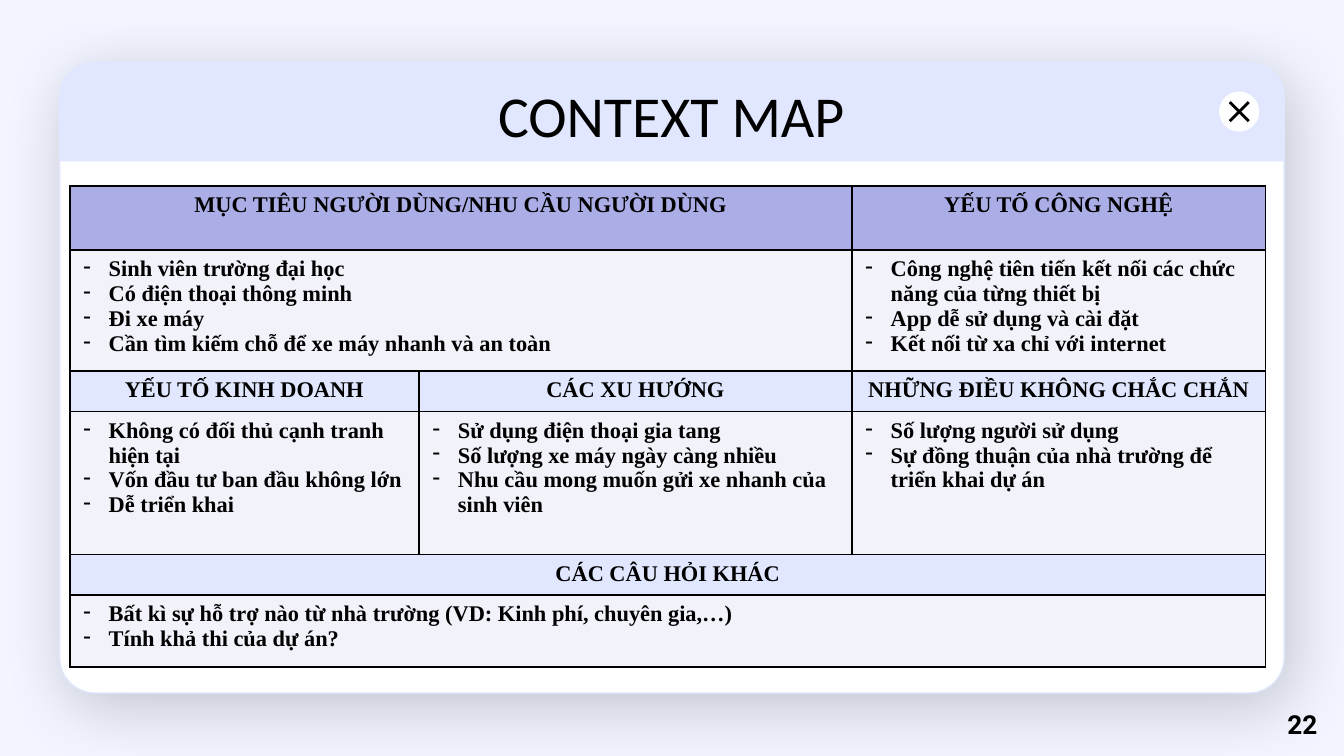
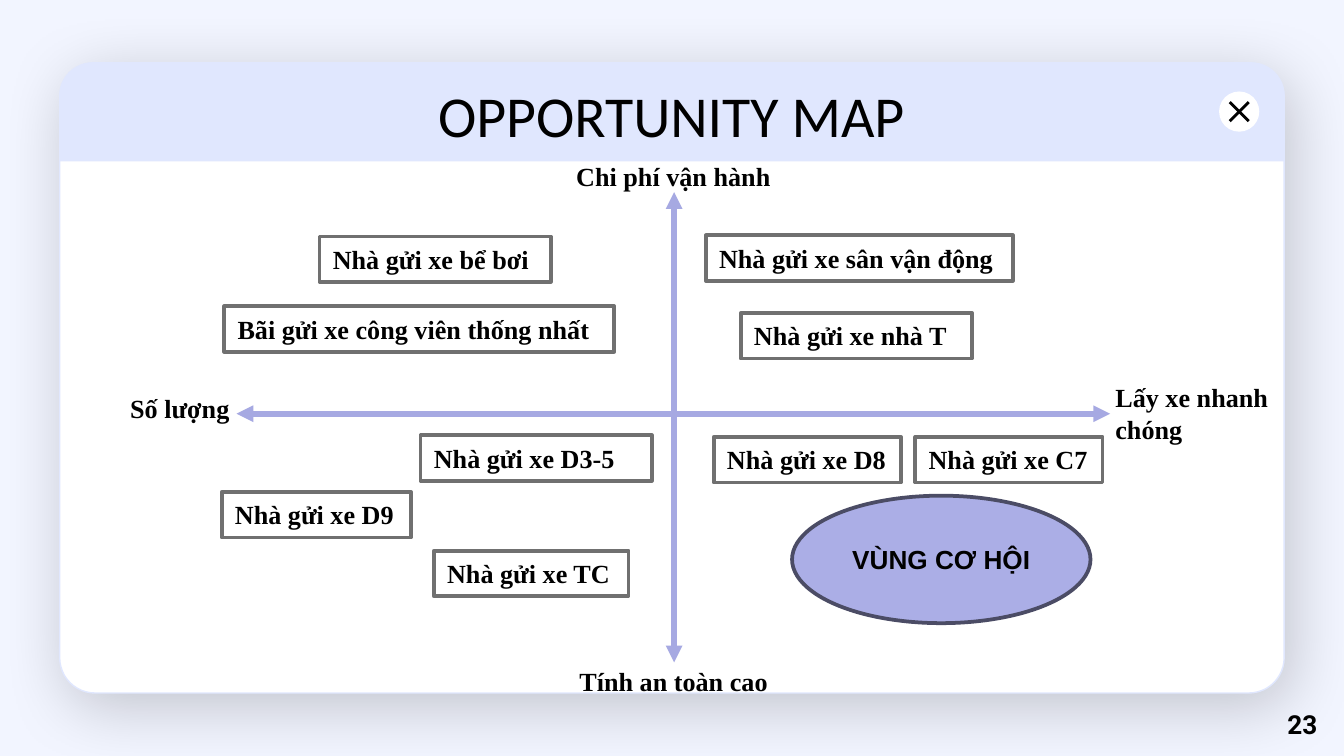
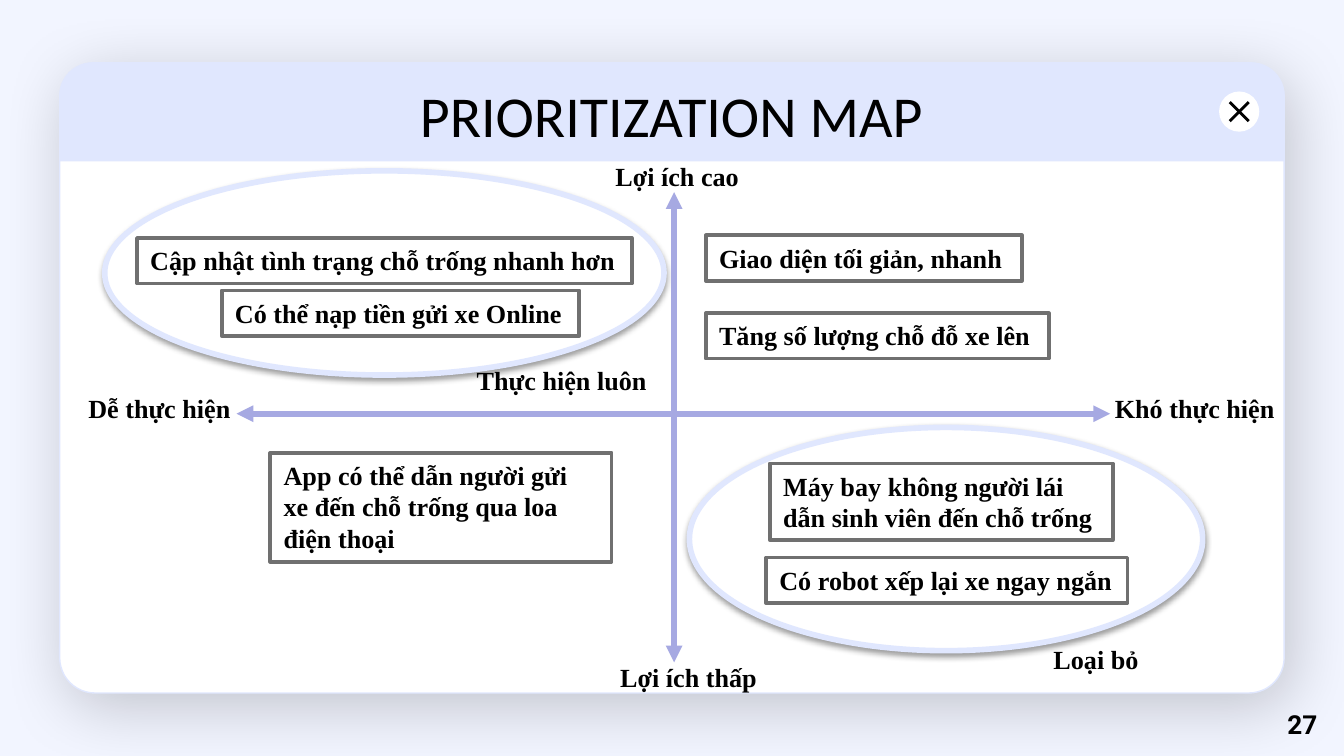
from dataclasses import dataclass

from lxml import etree
from pptx import Presentation
from pptx import util as u
from pptx.dml.color import RGBColor
from pptx.enum import shapes, text
from pptx.oxml.ns import qn

SH = shapes.MSO_SHAPE
LEFT, CENTER = text.PP_ALIGN.LEFT, text.PP_ALIGN.CENTER


@dataclass(frozen=True)
class Theme:
    """Colours, fonts and type sizes of the deck."""
    page: str = "F2F5FF"
    band: str = "E0E7FE"
    accent: str = "ABAEE6"
    axis: str = "A6A9E2"
    cell: str = "F1F2FA"
    white: str = "FFFFFF"
    ink: str = "000000"
    note_line: str = "707070"
    zone_line: str = "4B4C65"
    title_font: str = "Calibri"
    body_font: str = "Times New Roman"
    number_font: str = "Roboto"
    zone_font: str = "Arial"
    title_size: float = 31
    body_size: float = 14
    table_size: float = 12


T = Theme()


def sub(parent, tag, **attrs):
    """Append a child element such as a:ln and return it."""
    el = etree.SubElement(parent, qn(tag))
    for key, value in attrs.items():
        el.set(key, str(value))
    return el


def write(tf, content, size=T.body_size, font=T.body_font, bold=True, align=LEFT, bullet=False):
    """Fill a text frame with one paragraph per line of content."""
    tf.word_wrap = True
    for i, line in enumerate(content.split("\n")):
        p = tf.paragraphs[0] if i == 0 else tf.add_paragraph()
        p.alignment = align
        if bullet:
            add_dash(p)
        r = p.add_run()
        r.text = line
        r.font.size, r.font.name, r.font.bold = u.Pt(size), font, bold
        r.font.color.rgb = RGBColor.from_string(T.ink)


def add_dash(p):
    """Give a paragraph a hanging dash bullet."""
    indent = u.Cm(0.48)
    pr = p._p.get_or_add_pPr()
    pr.set("marL", str(indent))
    pr.set("indent", str(-indent))
    sub(sub(pr, "a:buClr"), "a:srgbClr", val=T.ink)
    sub(pr, "a:buChar", char="-")


def add_shadow(sp, alpha, blur, dist, angle):
    """Put a soft outer shadow on a shape."""
    effects = sp.element.spPr.find(qn("a:effectLst"))
    shadow = sub(effects, "a:outerShdw", blurRad=u.Pt(blur), dist=u.Pt(dist),
                 dir=angle * 60000, algn="ctr", rotWithShape=0)
    sub(sub(shadow, "a:srgbClr", val=T.ink), "a:alpha", val=alpha * 1000)


def add_box(s, kind, at, fill=T.white, line=None, width=0.75, adj=()):
    """Add a filled preset shape placed in centimetres."""
    sp = s.shapes.add_shape(kind, *map(u.Cm, at))
    sp.shadow.inherit = False
    sp.fill.solid()
    sp.fill.fore_color.rgb = RGBColor.from_string(fill)
    if line:
        sp.line.color.rgb = RGBColor.from_string(line)
        sp.line.width = u.Pt(width)
    else:
        sp.line.fill.background()
    for i, value in enumerate(adj):
        sp.adjustments[i] = value
    return sp


def add_line(s, start, end, color=T.ink, width=1.5, arrows=False):
    """Add a straight line, with arrowheads at both ends on request."""
    cn = s.shapes.add_connector(shapes.MSO_CONNECTOR.STRAIGHT, *map(u.Cm, start + end))
    cn.line.color.rgb = RGBColor.from_string(color)
    cn.line.width = u.Pt(width)
    if arrows:
        ln = cn.element.spPr.find(qn("a:ln"))
        sub(ln, "a:headEnd", type="triangle")
        sub(ln, "a:tailEnd", type="triangle")
    sub(cn.element.spPr, "a:effectLst")


def add_label(s, content, x, y, w, h=0.86, **fmt):
    """Add a free text box that grows with its text."""
    tf = s.shapes.add_textbox(*map(u.Cm, (x, y, w, h))).text_frame
    write(tf, content, **fmt)
    tf.auto_size = text.MSO_AUTO_SIZE.SHAPE_TO_FIT_TEXT


def add_note(s, content, x, y, w, h=0.86):
    """Add an outlined idea card."""
    sp = add_box(s, SH.RECTANGLE, (x, y, w, h), line=T.note_line, width=2)
    tf = sp.text_frame
    write(tf, content)
    tf.vertical_anchor = text.MSO_ANCHOR.TOP
    tf.auto_size = text.MSO_AUTO_SIZE.SHAPE_TO_FIT_TEXT


def add_ring(s, *at):
    """Add a shadowed oval that circles a set of ideas."""
    add_shadow(add_box(s, SH.OVAL, at, line=T.band, width=3), 38, 3.1, 1.6, 90)


def add_axes(s):
    """Draw the two crossing double-headed axes."""
    x, y = 12.74, 7.82
    for start, end in (((x, 3.63), (x, 12.52)), ((4.47, y), (20.98, y))):
        add_line(s, start, end, T.axis, 3, arrows=True)


def style_cell(cell, fill):
    """Set the borders and fill of a table cell."""
    pr = cell._tc.get_or_add_tcPr()
    for side in ("a:lnL", "a:lnR", "a:lnT", "a:lnB"):
        ln = sub(pr, side, w=u.Pt(1))
        sub(sub(ln, "a:solidFill"), "a:srgbClr", val=T.ink)
    cell.fill.solid()
    cell.fill.fore_color.rgb = RGBColor.from_string(fill)


def add_grid(s, x, y, widths, rows):
    """Add a table from rows of (height, fill, is_heading, [(text, span)])."""
    heights = [row[0] for row in rows]
    size = (x, y, sum(widths), sum(heights))
    table = s.shapes.add_table(len(rows), len(widths), *map(u.Cm, size)).table
    table.first_row = table.horz_banding = False
    for column, width in zip(table.columns, widths):
        column.width = u.Cm(width)
    for i, (height, fill, heading, cells) in enumerate(rows):
        table.rows[i].height = u.Cm(height)
        for cell in table.rows[i].cells:
            style_cell(cell, fill)
        col = 0
        for content, span in cells:
            cell = table.cell(i, col)
            if span > 1:
                cell.merge(table.cell(i, col + span - 1))
            write(cell.text_frame, content, size=T.table_size,
                  align=CENTER if heading else LEFT, bullet=not heading)
            col += span


def add_page(prs, title, number):
    """Add a slide with its window frame, title and page number."""
    s = prs.slides.add_slide(prs.slide_layouts[6])
    s.background.fill.solid()
    s.background.fill.fore_color.rgb = RGBColor.from_string(T.page)
    x, y, w = 1.13, 1.19, 23.14
    window = add_box(s, SH.ROUNDED_RECTANGLE, (x, y, w, 11.91), line=T.band, adj=[0.056])
    add_shadow(window, 20, 34.9, 8.2, 61)
    add_box(s, SH.ROUND_2_SAME_RECTANGLE, (x, y, w, 1.85), T.band, T.band, adj=[0.336, 0])
    add_box(s, SH.OVAL, (23.04, 1.73, 0.76, 0.76))
    left, right, top, bottom = 23.24, 23.6, 1.93, 2.29
    add_line(s, (left, top), (right, bottom))
    add_line(s, (right, top), (left, bottom))
    tf = s.shapes.add_textbox(*map(u.Cm, (1.98, 1.5, 21.41, 1.07))).text_frame
    tf.margin_top = 0
    write(tf, title, size=T.title_size, font=T.title_font, bold=False, align=CENTER)
    add_label(s, str(number), 24.08, 13.26, 1.17, font=T.number_font)
    return s


def context_map(prs):
    """Build the context table slide."""
    s = add_page(prs, "CONTEXT MAP", 22)
    add_grid(s, 1.32, 3.52, (6.6, 8.18, 7.82), [
        (1.21, T.accent, True, [("MỤC TIÊU NGƯỜI DÙNG/NHU CẦU NGƯỜI DÙNG", 2),
                                ("YẾU TỐ CÔNG NGHỆ", 1)]),
        (2.21, T.cell, False, [
            ("Sinh viên trường đại học\nCó điện thoại thông minh\nĐi xe máy\n"
             "Cần tìm kiếm chỗ để xe máy nhanh và an toàn", 2),
            ("Công nghệ tiên tiến kết nối các chức năng của từng thiết bị\n"
             "App dễ sử dụng và cài đặt\nKết nối từ xa chỉ với internet", 1)]),
        (0.72, T.band, True, [("YẾU TỐ KINH DOANH", 1), ("CÁC XU HƯỚNG", 1),
                              ("NHỮNG ĐIỀU KHÔNG CHẮC CHẮN", 1)]),
        (2.7, T.cell, False, [
            ("Không có đối thủ cạnh tranh hiện tại\nVốn đầu tư ban đầu không lớn\n"
             "Dễ triển khai", 1),
            ("Sử dụng điện thoại gia tang\nSố lượng xe máy ngày càng nhiều\n"
             "Nhu cầu mong muốn gửi xe nhanh của sinh viên", 1),
            ("Số lượng người sử dụng\n"
             "Sự đồng thuận của nhà trường để triển khai dự án", 1)]),
        (0.72, T.band, True, [("CÁC CÂU HỎI KHÁC", 3)]),
        (1.36, T.cell, False, [
            ("Bất kì sự hỗ trợ nào từ nhà trường (VD: Kinh phí, chuyên gia,…)\n"
             "Tính khả thi của dự án?", 3)]),
    ])


def opportunity_map(prs):
    """Build the map of parking lots and the opportunity zone."""
    s = add_page(prs, "OPPORTUNITY MAP", 23)
    add_axes(s)
    add_label(s, "Số lượng", 2.21, 7.29, 2.9)
    add_label(s, "Lấy xe nhanh chóng", 20.83, 7.09, 3.66, 1.45)
    add_label(s, "Chi phí vận hành", 10.64, 2.9, 4.32)
    add_label(s, "Tính an toàn cao", 10.7, 12.45, 4.22)
    for name, x, y, w in (
        ("Nhà gửi xe D3-5", 7.95, 8.23, 4.37),
        ("Nhà gửi xe D9", 4.19, 9.3, 3.58),
        ("Nhà gửi xe sân vận động", 13.34, 4.45, 5.8),
        ("Nhà gửi xe bể bơi", 6.04, 4.47, 4.37),
        ("Nhà gửi xe D8", 13.49, 8.26, 3.54),
        ("Nhà gửi xe C7", 17.3, 8.26, 3.54),
        ("Nhà gửi xe TC", 8.2, 10.41, 3.68),
        ("Nhà gửi xe nhà T", 14, 5.92, 4.37),
        ("Bãi gửi xe công viên thống nhất", 4.24, 5.79, 7.37),
    ):
        add_note(s, name, x, y, w)
    zone = add_box(s, SH.OVAL, (14.97, 9.37, 5.64, 2.41), T.accent, T.zone_line, 2)
    write(zone.text_frame, "VÙNG CƠ HỘI", font=T.zone_font, align=CENTER)
    zone.text_frame.vertical_anchor = text.MSO_ANCHOR.MIDDLE


def prioritization_map(prs):
    """Build the map of ideas by benefit and effort."""
    s = add_page(prs, "PRIORITIZATION MAP", 27)
    add_ring(s, 1.98, 3.23, 10.57, 3.86)
    add_ring(s, 13.03, 8.08, 9.7, 4.22)
    add_axes(s)
    add_label(s, "Dễ thực hiện", 1.42, 7.29, 3.68)
    add_label(s, "Khó thực hiện", 20.82, 7.29, 3.56)
    add_label(s, "Lợi ích cao", 10.64, 2.9, 4.32, align=CENTER)
    add_label(s, "Lợi ích thấp", 11.35, 12.37, 3.33, align=CENTER)
    for idea, x, y, w, h in (
        ("App có thể dẫn người gửi xe đến chỗ trống qua loa điện thoại", 5.11, 8.56, 6.45, 2.06),
        ("Giao diện tối giản, nhanh", 13.34, 4.45, 5.97, 0.86),
        ("Cập nhật tình trạng chỗ trống nhanh hơn", 2.59, 4.5, 9.35, 0.86),
        ("Máy bay không người lái dẫn sinh viên đến chỗ trống", 14.55, 8.76, 6.48, 1.45),
        ("Có robot xếp lại xe ngay ngắn", 14.48, 10.54, 6.83, 0.86),
        ("Tăng số lượng chỗ đỗ xe lên", 13.34, 5.92, 6.48, 0.86),
        ("Có thể nạp tiền gửi xe Online", 4.19, 5.49, 6.76, 0.86),
    ):
        add_note(s, idea, x, y, w, h)
    add_label(s, "Loại bỏ", 19.66, 12.04, 3.53)
    add_label(s, "Thực hiện luôn", 8.76, 6.76, 3.99)


def main():
    """Build and save the deck."""
    prs = Presentation()
    prs.slide_width, prs.slide_height = u.Cm(25.4), u.Cm(14.29)
    for build in (context_map, opportunity_map, prioritization_map):
        build(prs)
    prs.save("out.pptx")


if __name__ == "__main__":
    main()
